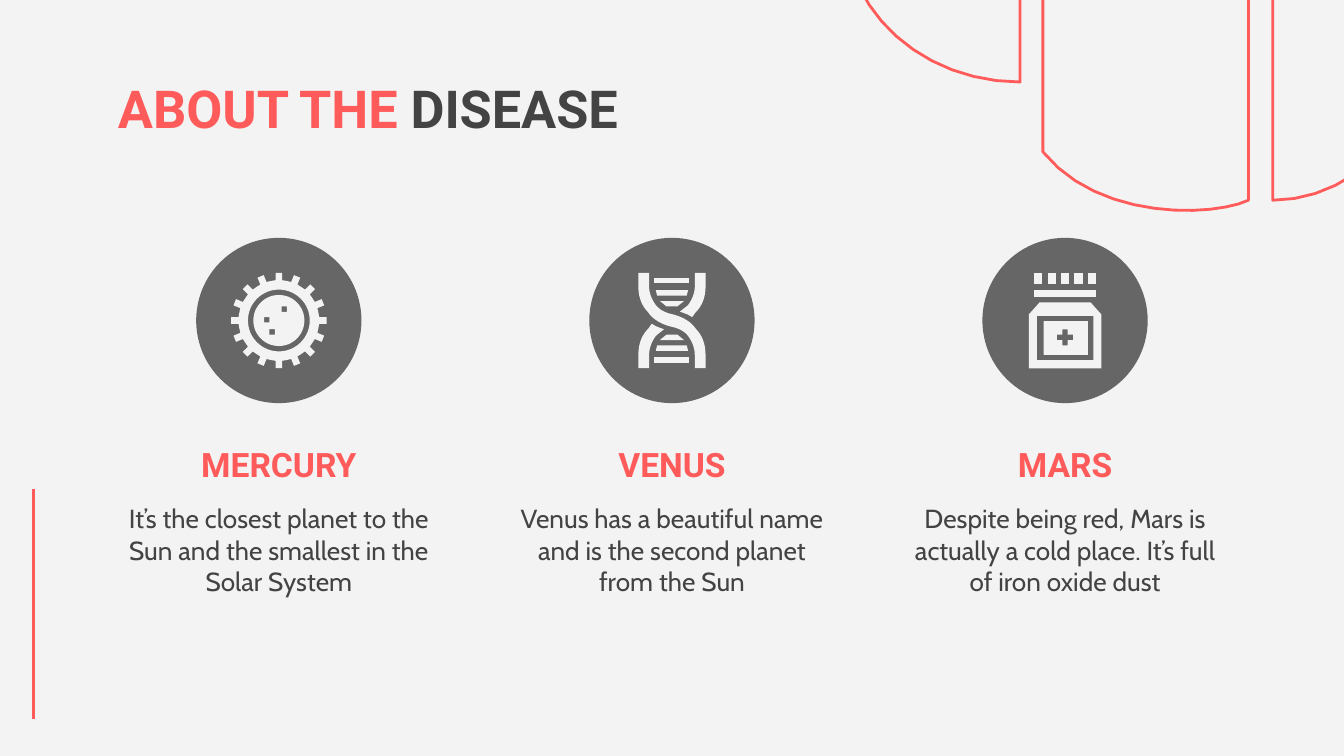
from math import cos, pi, sin

from lxml import etree
from pptx import Presentation
from pptx.dml.color import RGBColor
from pptx.enum.shapes import MSO_CONNECTOR, MSO_SHAPE
from pptx.enum.text import MSO_ANCHOR, PP_ALIGN
from pptx.oxml.ns import qn
from pptx.util import Inches, Pt

STRAIGHT = MSO_CONNECTOR.STRAIGHT
OVAL = MSO_SHAPE.OVAL
TOP = MSO_ANCHOR.TOP
LEFT, CENTER = PP_ALIGN.LEFT, PP_ALIGN.CENTER

CORAL = RGBColor(0xFF, 0x5B, 0x5B)
DARK = RGBColor(0x43, 0x43, 0x43)
GRAY = RGBColor(0x66, 0x66, 0x66)
PALE = RGBColor(0xF3, 0xF3, 0xF3)

TITLE = {"name": "Roboto", "size": Pt(28), "bold": True}
HEADING = {"name": "Roboto", "size": Pt(18), "bold": True}
BODY = {"name": "Cabin", "size": Pt(14), "bold": False}

# Column grid
SLIDE_WIDTH, MARGIN, COLUMN_WIDTH = 10, 0.78, 2.59
COLUMN_STEP = (SLIDE_WIDTH - 2 * MARGIN - COLUMN_WIDTH) / 2
DISC_TOP, DISC_SIZE = 1.77, 1.23
ICON_TOP, ICON_SIZE = 2.03, 0.71
CURVE_STEPS = 12

# Outlines: a pair is a line's end point, six numbers are a Bezier curve
CORNER_ARCS = [
    [(9.47, 1.49), (9.47, -1.32), (10.13, -1.32, 10.67, -0.69, 10.67, 0.09),
     (10.67, 0.86, 10.13, 1.49, 9.47, 1.49)],
    [(7.59, -1.71), (7.59, 0.61), (6.87, 0.61, 6.29, 0.09, 6.29, -0.55),
     (6.29, -1.19, 6.87, -1.71, 7.59, -1.71)],
    [(9.29, 1.49), (9.04, 1.61, 8.18, 1.65, 7.76, 1.13), (7.76, -0.94),
     (7.94, -1.31, 8.75, -1.5, 9.29, -1.32)],
]

# Icon outlines: x from the column centre, y from the icon top
STRAND_HALF = [
    (-0.25, 0), (-0.25, 0.1), (-0.25, 0.17, -0.23, 0.24, -0.18, 0.29),
    (-0.14, 0.35, -0.08, 0.38, -0.01, 0.4), (0.04, 0.41, 0.09, 0.43, 0.12, 0.47),
    (0.15, 0.51, 0.17, 0.56, 0.17, 0.61), (0.17, 0.71)]
STRAND_TAIL = [
    (-0.15, 0.38), (-0.16, 0.39, -0.17, 0.41, -0.18, 0.42),
    (-0.23, 0.47, -0.25, 0.54, -0.25, 0.61), (-0.25, 0.71), (-0.17, 0.71),
    (-0.17, 0.61), (-0.17, 0.56, -0.15, 0.51, -0.12, 0.47),
    (-0.1, 0.45, -0.08, 0.44, -0.06, 0.42), (-0.09, 0.41, -0.12, 0.4, -0.15, 0.38)]
# Rung top, half width at its top, half width at its bottom
RUNGS = [(0.04, 0.13, 0.13), (0.13, 0.12, 0.11), (0.21, 0.09, 0.04)]
BOTTLE = [(-0.19, 0.22), (-0.27, 0.31), (-0.27, 0.71),
          (0.27, 0.71), (0.27, 0.31), (0.19, 0.22)]
CROSS = [(-0.02, 0.42), (0.02, 0.42), (0.02, 0.46), (0.06, 0.46), (0.06, 0.5),
         (0.02, 0.5), (0.02, 0.54), (-0.02, 0.54), (-0.02, 0.5), (-0.06, 0.5),
         (-0.06, 0.46), (-0.02, 0.46)]


def flatten(outline):
    """Turn lines and Bezier curves into a list of points."""
    points = [outline[0]]
    for segment in outline[1:]:
        if len(segment) == 2:
            points.append(segment)
            continue
        controls = [points[-1], segment[:2], segment[2:4], segment[4:]]
        for step in range(1, CURVE_STEPS + 1):
            t = step / CURVE_STEPS
            weights = [(1 - t) ** 3, 3 * t * (1 - t) ** 2, 3 * t * t * (1 - t), t ** 3]
            points.append(tuple(sum(w * c[axis] for w, c in zip(weights, controls))
                                for axis in (0, 1)))
    return points


def box(left, top, width, height):
    right, bottom = left + width, top + height
    return [(left, top), (right, top), (right, bottom), (left, bottom)]


def circle(radius):
    angles = [2 * pi * i / 64 for i in range(64)]
    return [(radius * cos(a), ICON_SIZE / 2 + radius * sin(a)) for a in angles]


def spiked_circle(radius=0.3, tip=0.355, half_width=0.025, spikes=16):
    points = []
    for i in range(spikes):
        angle = 2 * pi * i / spikes
        for along, across in [(radius, -half_width), (tip, -half_width),
                              (tip, half_width), (radius, half_width)]:
            points.append((along * cos(angle) - across * sin(angle),
                           ICON_SIZE / 2 + along * sin(angle) + across * cos(angle)))
        middle = angle + pi / spikes
        points.append((radius * cos(middle), ICON_SIZE / 2 + radius * sin(middle)))
    return points


def half_turn(points):
    return [(-x, ICON_SIZE - y) for x, y in points]


def add_outline(slide, contours, origin=(0, 0), fill=None, line=None):
    builder = None
    for contour in contours:
        points = [(Inches(origin[0] + x), Inches(origin[1] + y))
                  for x, y in flatten(contour)]
        if builder is None:
            builder = slide.shapes.build_freeform(*points[0], scale=1.0)
        else:
            builder.move_to(*points[0])
        builder.add_line_segments(points[1:], close=True)
    paint(builder.convert_to_shape(), fill, line)


def paint(shape, fill=None, line=None):
    shape.shadow.inherit = False
    for part, color in ((shape.fill, fill), (shape.line.fill, line)):
        if color is None:
            part.background()
        else:
            part.solid()
            part.fore_color.rgb = color
    if line is not None:
        shape.line.width = Pt(1.5)


def add_text(slide, left, top, width, height, runs, font_format, alignment=CENTER):
    text_box = slide.shapes.add_textbox(*map(Inches, (left, top, width, height)))
    frame_format = {"word_wrap": True, "vertical_anchor": TOP}
    for side in ("left", "top", "right", "bottom"):
        frame_format[f"margin_{side}"] = Inches(0.1)
    for name, value in frame_format.items():
        setattr(text_box.text_frame, name, value)
    paragraph = text_box.text_frame.paragraphs[0]
    paragraph.alignment = alignment
    for text, color in runs:
        run = paragraph.add_run()
        run.text = text
        for name, value in font_format.items():
            setattr(run.font, name, value)
        run.font.color.rgb = color


def add_line(slide, start, end):
    connector = slide.shapes.add_connector(STRAIGHT, *map(Inches, start + end))
    connector.line.color.rgb = CORAL
    connector.line.width = Pt(1.5)
    etree.SubElement(connector._element.spPr, qn("a:effectLst"))


def virus_parts():
    spots = [box(x, y, 0.04, 0.04) for x, y in [(0.02, 0.25), (-0.11, 0.33), (-0.07, 0.42)]]
    return [[spiked_circle(), circle(0.23)], [circle(0.19)] + spots]


def dna_parts():
    rungs = [[(-upper, top), (upper, top), (lower, top + 0.04), (-lower, top + 0.04)]
             for top, upper, lower in RUNGS]
    half, tail = flatten(STRAND_HALF), flatten(STRAND_TAIL)
    outlines = rungs + [half_turn(rung) for rung in rungs]
    outlines += [tail, half_turn(tail), half + half_turn(half)]
    return [[outline] for outline in outlines]


def bottle_parts():
    ridges = [[box(-0.23 + 0.1 * i, 0, 0.06, 0.08)] for i in range(5)]
    return ridges + [[box(-0.23, 0.13, 0.46, 0.05)],
                     [BOTTLE, box(-0.21, 0.32, 0.42, 0.33)],
                     [box(-0.16, 0.36, 0.33, 0.25), CROSS]]


def add_column(slide, left, heading, description, icon_parts):
    middle = left + COLUMN_WIDTH / 2
    add_text(slide, left, 3.64, COLUMN_WIDTH, 0.85, [(description, DARK)], BODY)
    add_text(slide, left, 3.2, COLUMN_WIDTH, 0.51, [(heading, CORAL)], HEADING)
    disc = slide.shapes.add_shape(OVAL, Inches(middle - DISC_SIZE / 2), Inches(DISC_TOP),
                                  Inches(DISC_SIZE), Inches(DISC_SIZE))
    paint(disc, fill=GRAY)
    for contours in icon_parts:
        add_outline(slide, contours, (middle, ICON_TOP), fill=PALE)


def main():
    presentation = Presentation()
    presentation.slide_width = Inches(SLIDE_WIDTH)
    presentation.slide_height = Inches(5.625)
    slide = presentation.slides.add_slide(presentation.slide_layouts[6])
    slide.background.fill.solid()
    slide.background.fill.fore_color.rgb = PALE

    # Decoration
    for arc in CORNER_ARCS:
        add_outline(slide, [arc], line=CORAL)
    add_line(slide, (0.25, 5.35), (0.25, 3.64))

    # Title and columns
    add_text(slide, MARGIN, 0.47, 8.44, 0.51,
             [("ABOUT THE ", CORAL), ("DISEASE", DARK)], TITLE, LEFT)
    columns = [
        ("MERCURY", "It’s the closest planet to the Sun and the smallest in the Solar System",
         virus_parts()),
        ("VENUS", "Venus has a beautiful name and is the second planet from the Sun",
         dna_parts()),
        ("MARS", "Despite being red, Mars is actually a cold place. It’s full of iron oxide dust",
         bottle_parts()),
    ]
    for index, column in enumerate(columns):
        add_column(slide, MARGIN + index * COLUMN_STEP, *column)
    presentation.save("out.pptx")


if __name__ == "__main__":
    main()
